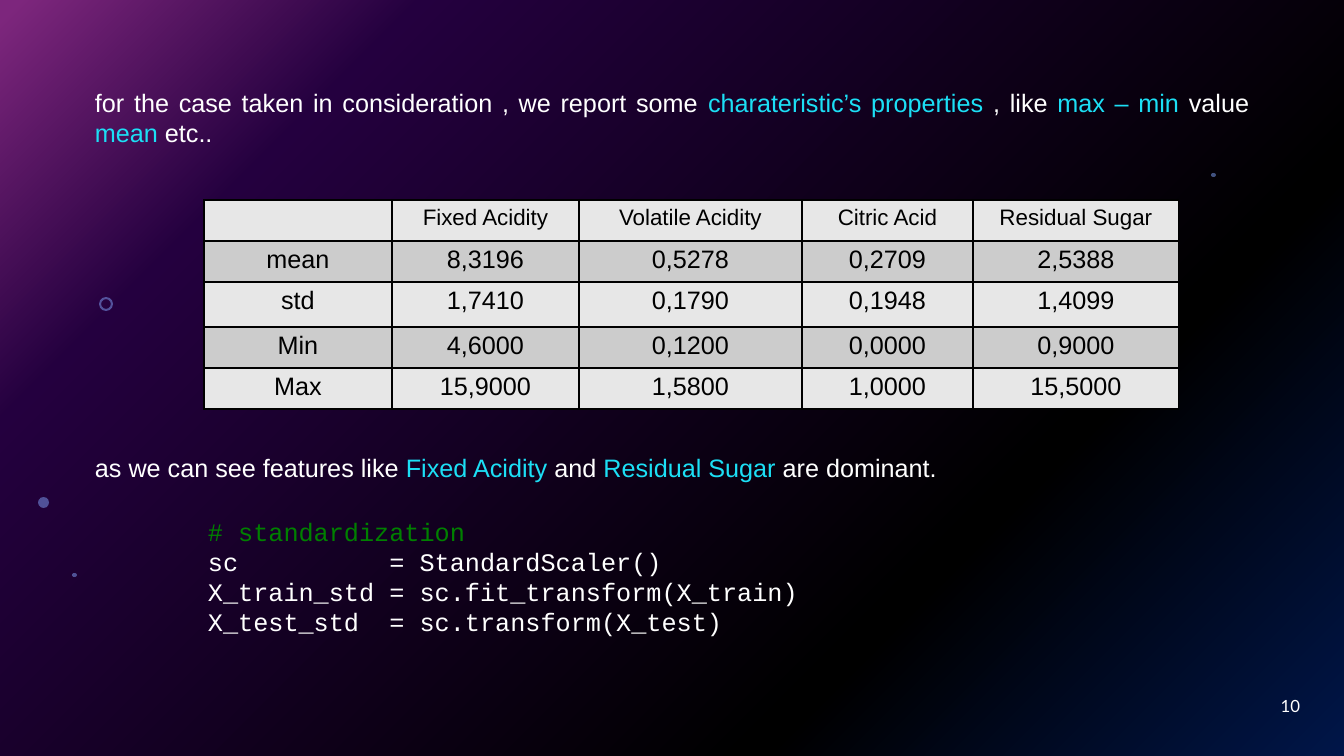
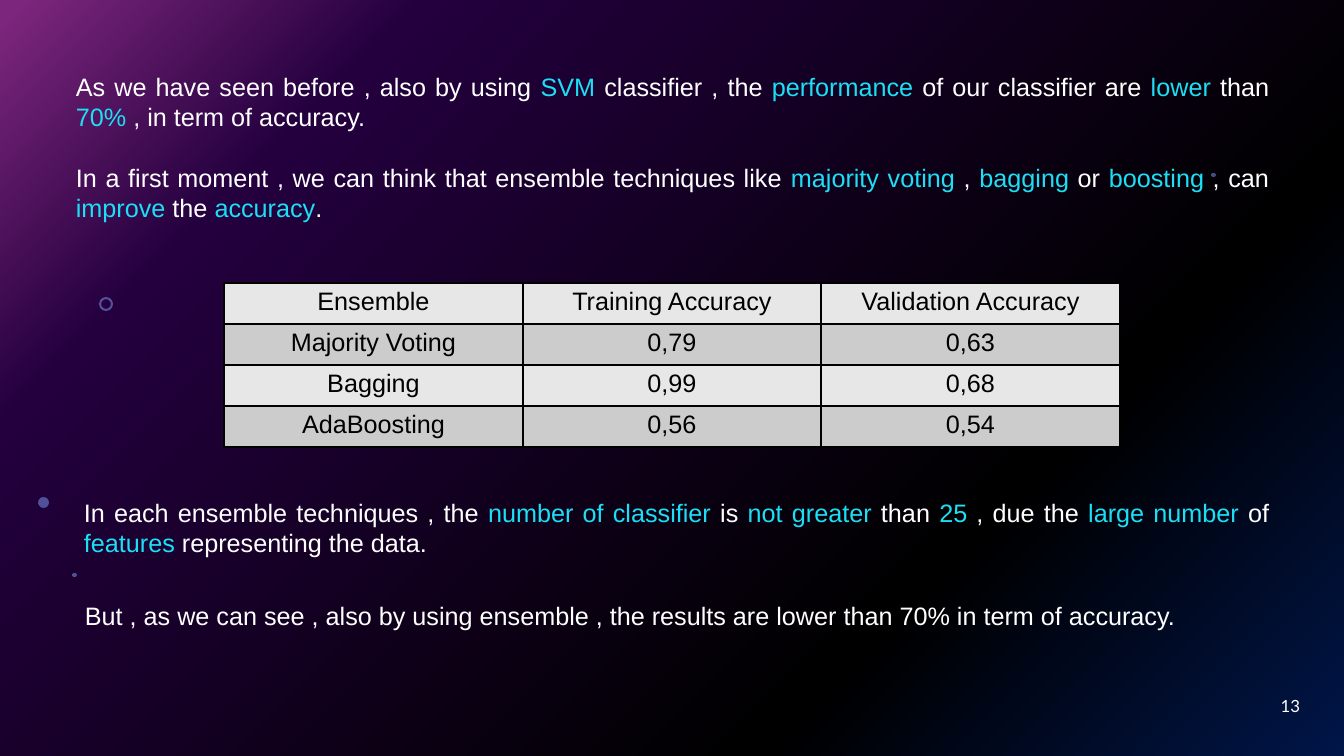
import pptx
import pptx.dml.color
import pptx.enum.shapes
import pptx.enum.text
import pptx.oxml
import pptx.oxml.ns
import pptx.util
from lxml import etree

SHAPE = pptx.enum.shapes.MSO_SHAPE
ALIGN = pptx.enum.text.PP_ALIGN
ANCHOR = pptx.enum.text.MSO_ANCHOR
qn = pptx.oxml.ns.qn

WIDTH, HEIGHT = 1344, 756
EMU_PER_PX = 12192000 / WIDTH


def px(n):
    return pptx.util.Emu(round(n * EMU_PER_PX))


def rgb(value):
    return pptx.dml.color.RGBColor.from_string(value)


def sub(parent, tag, **attrs):
    return etree.SubElement(parent, qn(tag), {k: str(v) for k, v in attrs.items()})


class Deck:
    WHITE, BLACK, ACCENT, GREEN = "FFFFFF", "000000", "1CDFF5", "008000"
    DOT = "83A7FD"
    ROW_FILLS = ("E7E7E7", "CCCCCC")
    GRADIENT = ((0, "022D94"), (28, "000000"), (80, "4A027F"), (99, "FC4EFB"))
    DOTS = ((38, 497, 11, 11), (72, 573, 5, 4), (1211, 173, 5, 4))

    def __init__(self):
        self.prs = pptx.Presentation()
        self.prs.slide_width, self.prs.slide_height = px(WIDTH), px(HEIGHT)
        self.s = None
        self.background()

    def background(self):
        """Give the master a radial gradient centred on the lower right corner."""
        master = self.prs.slide_master
        master.background.fill.gradient()
        grad = next(master.element.iter(qn("a:gradFill")))
        for child in list(grad):
            grad.remove(child)
        stops = sub(grad, "a:gsLst")
        for pos, color in self.GRADIENT:
            sub(sub(stops, "a:gs", pos=pos * 1000), "a:srgbClr", val=color)
        path = sub(grad, "a:path", path="circle")
        sub(path, "a:fillToRect", l=100000, t=100000)

    def slide(self, number):
        """Start a slide with the shared veil, dots and page number."""
        self.s = self.prs.slides.add_slide(self.prs.slide_layouts[6])
        self.shape(SHAPE.RECTANGLE, (0, 0, WIDTH, HEIGHT), self.BLACK, 50)
        ring = self.shape(SHAPE.DONUT, (99, 297, 14, 14), self.DOT, 49)
        ring.adjustments[0] = 0.15
        for box in self.DOTS:
            self.shape(SHAPE.OVAL, box, self.DOT, 49)
        self.text((1008, 686, 302, 40), [number], align=ALIGN.RIGHT,
                  anchor=ANCHOR.MIDDLE, size=12, name="Lato")

    def shape(self, kind, box, color, opacity):
        sp = self.s.shapes.add_shape(kind, *map(px, box))
        sp.shadow.inherit = False
        sp.line.fill.background()
        sp.fill.solid()
        sp.fill.fore_color.rgb = rgb(color)
        clr = next(sp.element.spPr.iter(qn("a:srgbClr")))
        sub(clr, "a:alpha", val=opacity * 1000)
        return sp

    def run(self, p, text, color, size=18, name="Arial"):
        r = p.add_run()
        r.text = text
        for key, value in {"size": pptx.util.Pt(size), "name": name}.items():
            setattr(r.font, key, value)
        r.font.color.rgb = rgb(color)

    def text(self, box, lines, align=ALIGN.LEFT, anchor=ANCHOR.TOP,
             colors=(WHITE, ACCENT), **font):
        """Write one paragraph a line; parts between bars take the second colour."""
        tf = self.s.shapes.add_textbox(*map(px, box)).text_frame
        for key, value in {"word_wrap": True, "vertical_anchor": anchor}.items():
            setattr(tf, key, value)
        for i, line in enumerate(lines):
            p = tf.add_paragraph() if i else tf.paragraphs[0]
            p.alignment = align
            for j, part in enumerate(line.split("|")):
                if part:
                    self.run(p, part, colors[j % 2], **font)

    def borders(self, cell):
        tc_pr = cell._tc.get_or_add_tcPr()
        for side in ("a:lnL", "a:lnR", "a:lnT", "a:lnB"):
            fill = sub(sub(tc_pr, side, w=12700), "a:solidFill")
            sub(fill, "a:srgbClr", val=self.BLACK)

    def table(self, left, top, widths, heights, rows, header_size=18):
        box = (left, top, sum(widths), sum(heights))
        tbl = self.s.shapes.add_table(len(rows), len(widths), *map(px, box)).table
        tbl.first_row = tbl.horz_banding = False
        for col, width in zip(tbl.columns, widths):
            col.width = px(width)
        for i, (row, height) in enumerate(zip(rows, heights)):
            tbl.rows[i].height = px(height)
            for j, value in enumerate(row):
                cell = tbl.cell(i, j)
                self.borders(cell)
                cell.fill.solid()
                cell.fill.fore_color.rgb = rgb(self.ROW_FILLS[i % 2])
                p = cell.text_frame.paragraphs[0]
                p.alignment = ALIGN.CENTER
                if value:
                    self.run(p, value, self.BLACK, 18 if i else header_size)


def statistics(deck):
    deck.slide("10")
    deck.text((85, 82, 1174, 72), [
        "for the case taken in consideration , we report some "
        "|charateristic’s properties |, like |max – min |value |mean| etc.."],
        align=ALIGN.JUSTIFY)
    deck.table(204, 200, (188, 187, 223, 171, 206), (41, 41, 45, 41, 41), (
        ("", "Fixed Acidity", "Volatile Acidity", "Citric Acid", "Residual Sugar"),
        ("mean", "8,3196", "0,5278", "0,2709", "2,5388"),
        ("std", "1,7410", "0,1790", "0,1948", "1,4099"),
        ("Min", "4,6000", "0,1200", "0,0000", "0,9000"),
        ("Max", "15,9000", "1,5800", "1,0000", "15,5000"),
    ), header_size=16)
    deck.text((85, 447, 1136, 40), [
        "as we can see features like |Fixed Acidity |and |Residual Sugar "
        "|are dominant."])
    deck.text((198, 511, 949, 163), [
        "|# standardization",
        "sc          = StandardScaler()",
        "X_train_std = sc.fit_transform(X_train)",
        "X_test_std  = sc.transform(X_test)",
    ], colors=(deck.WHITE, deck.GREEN), name="Courier New")


def ensembles(deck):
    deck.slide("13")
    deck.text((66, 66, 1213, 72), [
        "As we have seen before , also by using |SVM |classifier , the "
        "|performance| of our classifier are |lower |than |70% "
        "|, in term of accuracy."], align=ALIGN.JUSTIFY)
    deck.text((66, 157, 1213, 72), [
        "In a first moment , we can think that ensemble techniques like "
        "|majority voting| , |bagging| or |boosting| , can |improve| the "
        "|accuracy|."], align=ALIGN.JUSTIFY)
    deck.table(224, 283, (299, 298, 299), (41,) * 4, (
        ("Ensemble", "Training Accuracy", "Validation Accuracy"),
        ("Majority Voting", "0,79", "0,63"),
        ("Bagging", "0,99", "0,68"),
        ("AdaBoosting", "0,56", "0,54"),
    ))
    deck.text((74, 492, 1205, 72), [
        "In each ensemble techniques , the |number of classifier |is "
        "|not greater |than |25| , due the |large number |of |features "
        "|representing the data."], align=ALIGN.JUSTIFY)
    deck.text((75, 595, 1194, 40), [
        "But , as we can see , also by using ensemble , the results are lower "
        "than 70% in term of accuracy."])


def main():
    deck = Deck()
    statistics(deck)
    ensembles(deck)
    deck.prs.save("out.pptx")


if __name__ == "__main__":
    main()
